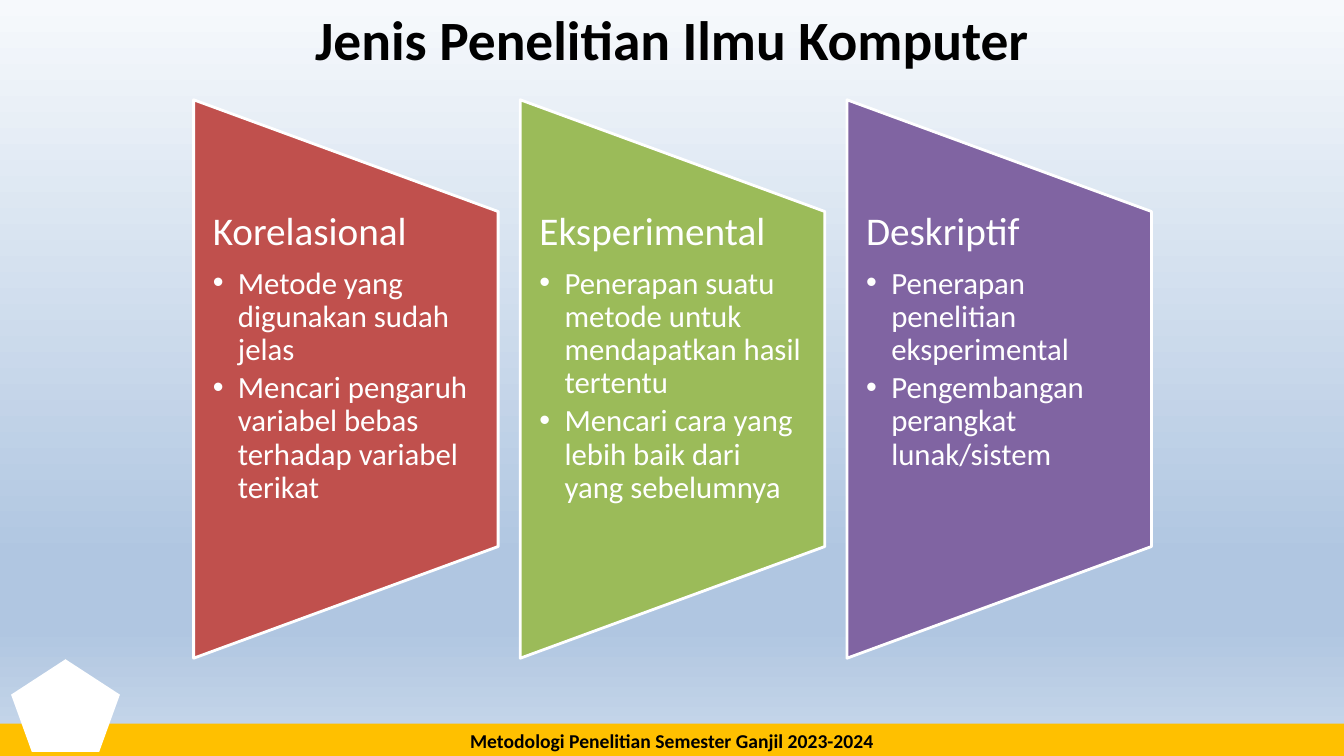
"""Build the slide on the kinds of computer science research."""
from dataclasses import dataclass

from lxml import etree
from pptx import Presentation, util as u
from pptx.dml.color import RGBColor
from pptx.enum import shapes, text
from pptx.oxml.ns import qn

WIDTH, HEIGHT = u.Inches(13.33), u.Inches(7.5)
FONT = "Calibri"
BLACK = RGBColor(0, 0, 0)
WHITE = RGBColor(255, 255, 255)
AMBER = RGBColor(0xFF, 0xC0, 0x00)
RED = RGBColor(0xC0, 0x50, 0x4D)
GREEN = RGBColor(0x9B, 0xBB, 0x59)
PURPLE = RGBColor(0x80, 0x64, 0xA2)
SKY = (
    (0, RGBColor(0xF6, 0xF9, 0xFC)),
    (74, RGBColor(0xB0, 0xC6, 0xE1)),
    (83, RGBColor(0xB0, 0xC6, 0xE1)),
    (100, RGBColor(0xCA, 0xD9, 0xEB)),
)
GRID_LEFT, COLUMN, PITCH = u.Inches(1.92), u.Inches(3.02), u.Inches(3.24)
PANEL_TOP, PANEL_HEIGHT = u.Inches(0.99), u.Inches(5.54)
INDENT = u.Inches(0.25)


@dataclass(frozen=True)
class Panel:
    """A research kind with its colour and points."""

    heading: str
    color: RGBColor
    points: tuple[str, ...]


PANELS = (
    Panel("Korelasional", RED, (
        "Metode yang digunakan sudah jelas",
        "Mencari pengaruh variabel bebas terhadap variabel terikat")),
    Panel("Eksperimental", GREEN, (
        "Penerapan suatu metode untuk mendapatkan hasil tertentu",
        "Mencari cara yang lebih baik dari yang sebelumnya")),
    Panel("Deskriptif", PURPLE, (
        "Penerapan penelitian eksperimental",
        "Pengembangan perangkat lunak/sistem")),
)


def place(sp, left: int, top: int, width: int, height: int) -> None:
    """Set the position and size of a shape."""
    sp.left, sp.top, sp.width, sp.height = left, top, width, height


def write(p, words: str, *, size: float, color: RGBColor = BLACK,
          bold: bool = False, align=text.PP_ALIGN.LEFT, line: float = 1.0,
          after: float = 0, bullet: bool = False) -> None:
    """Fill a paragraph with formatted text."""
    p.alignment, p.line_spacing = align, line
    p.space_before, p.space_after = u.Pt(0), u.Pt(after)
    p.level = int(bullet)
    pPr = p._p.get_or_add_pPr()
    pPr.set("marL", str(INDENT if bullet else 0))
    pPr.set("indent", str(-INDENT if bullet else 0))
    if bullet:
        etree.SubElement(pPr, qn("a:buFont")).set("typeface", "Arial")
        etree.SubElement(pPr, qn("a:buChar")).set("char", "•")
    else:
        etree.SubElement(pPr, qn("a:buNone"))
    r = p.add_run()
    r.text = words
    r.font.name, r.font.size, r.font.bold = FONT, u.Pt(size), bold
    r.font.color.rgb = color


def add_shape(s, kind, box: tuple[int, int, int, int], fill: RGBColor):
    """Add a flat shape without an outline."""
    sp = s.shapes.add_shape(kind, *box)
    sp.shadow.inherit = False
    sp.fill.solid()
    sp.fill.fore_color.rgb = fill
    sp.line.fill.background()
    return sp


def paint_background(s) -> None:
    """Give the slide its vertical gradient."""
    fill = s.background.fill
    fill.gradient()
    fill.gradient_angle = 270
    stops = next(s.element.iter(qn("a:gsLst")))
    stops.clear()
    for share, color in SKY:
        stop = etree.SubElement(stops, qn("a:gs"), pos=str(share * 1000))
        etree.SubElement(stop, qn("a:srgbClr"), val=str(color))


def add_panel(s, panel: Panel, column: int, body) -> None:
    """Draw one panel and lay its list over it."""
    left = GRID_LEFT + column * PITCH
    inset = (PANEL_HEIGHT - COLUMN) // 2
    sp = add_shape(s, shapes.MSO_SHAPE.FLOWCHART_MANUAL_OPERATION,
                   (left - inset, PANEL_TOP + inset, PANEL_HEIGHT, COLUMN), panel.color)
    sp.rotation = 270
    sp.line.color.rgb, sp.line.width = WHITE, u.Pt(2)

    place(body, left, PANEL_TOP + PANEL_HEIGHT // 5, COLUMN, PANEL_HEIGHT * 3 // 5)
    s.shapes.element.append(body.element)
    tf = body.text_frame
    tf.word_wrap, tf.auto_size = True, text.MSO_AUTO_SIZE.NONE
    tf.vertical_anchor = text.MSO_ANCHOR.TOP
    tf.margin_left = tf.margin_right = u.Inches(0.19)
    tf.margin_top = tf.margin_bottom = 0
    write(tf.paragraphs[0], panel.heading, size=28, color=WHITE, line=0.9, after=9.8)
    for point in panel.points:
        write(tf.add_paragraph(), point, size=22, color=WHITE, line=0.9,
              after=3.3, bullet=True)


def main() -> None:
    """Assemble and save the presentation."""
    prs = Presentation()
    prs.slide_width, prs.slide_height = WIDTH, HEIGHT
    s = prs.slides.add_slide(prs.slide_layouts.get_by_name("Comparison"))
    paint_background(s)

    title, *bodies = s.placeholders
    place(title, 0, u.Inches(0.02), WIDTH, u.Inches(0.73))
    tf = title.text_frame
    tf.auto_size, tf.vertical_anchor = text.MSO_AUTO_SIZE.NONE, text.MSO_ANCHOR.MIDDLE
    write(tf.paragraphs[0], "Jenis Penelitian Ilmu Komputer", size=39.6,
          bold=True, align=text.PP_ALIGN.CENTER)

    footer = add_shape(s, shapes.MSO_SHAPE.RECTANGLE,
                       (0, u.Inches(7.18), WIDTH, u.Inches(0.34)), AMBER)
    write(footer.text_frame.paragraphs[0], "Metodologi Penelitian Semester Ganjil 2023-2024",
          size=14, bold=True, align=text.PP_ALIGN.CENTER)
    add_shape(s, shapes.MSO_SHAPE.REGULAR_PENTAGON,
              (u.Inches(0.11), u.Inches(6.54), u.Inches(1.08), u.Inches(0.92)), WHITE)

    for column, (panel, body) in enumerate(zip(PANELS, bodies)):
        add_panel(s, panel, column, body)
    for spare in bodies[len(PANELS):]:
        s.shapes.element.remove(spare.element)
    prs.save("out.pptx")


main()
